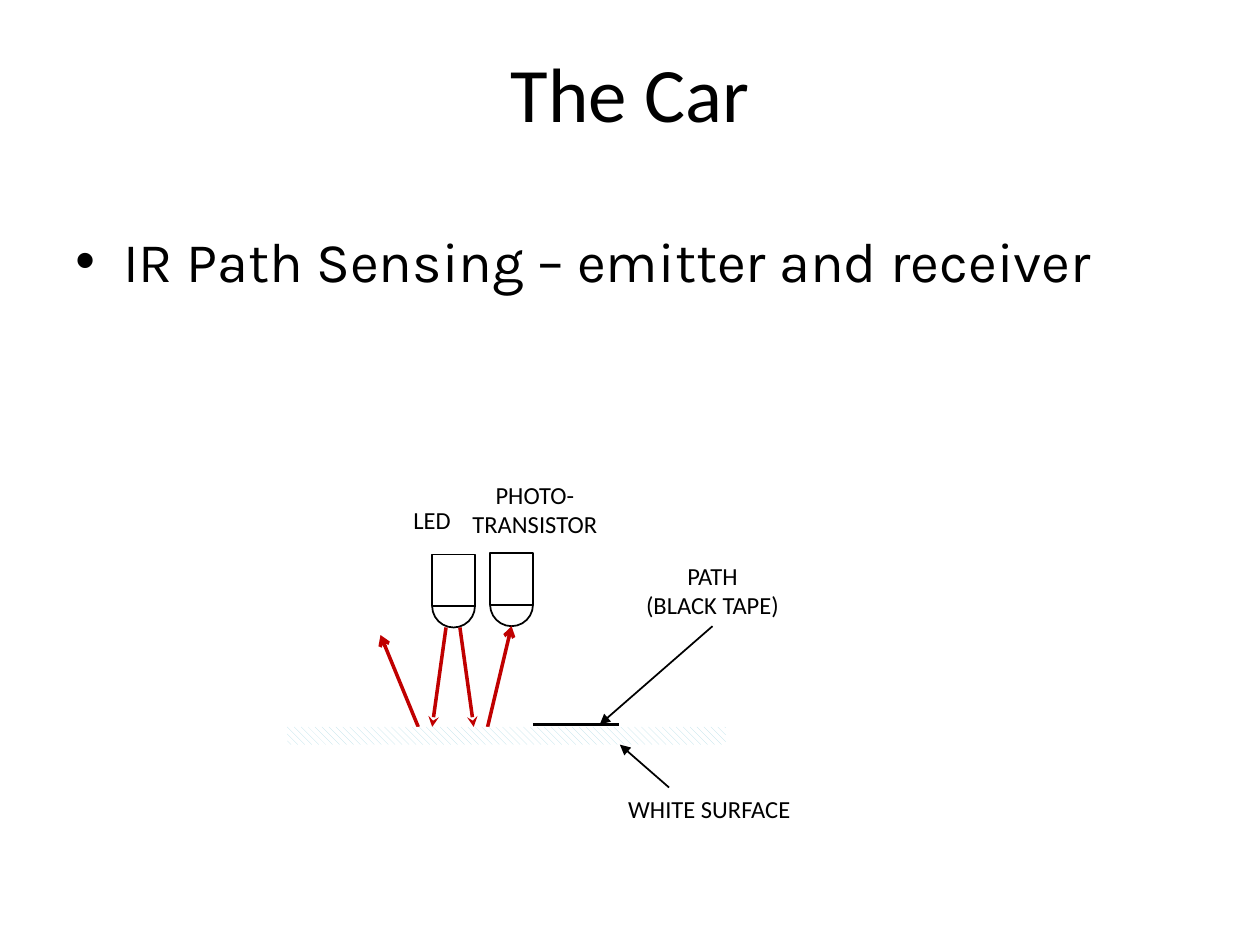
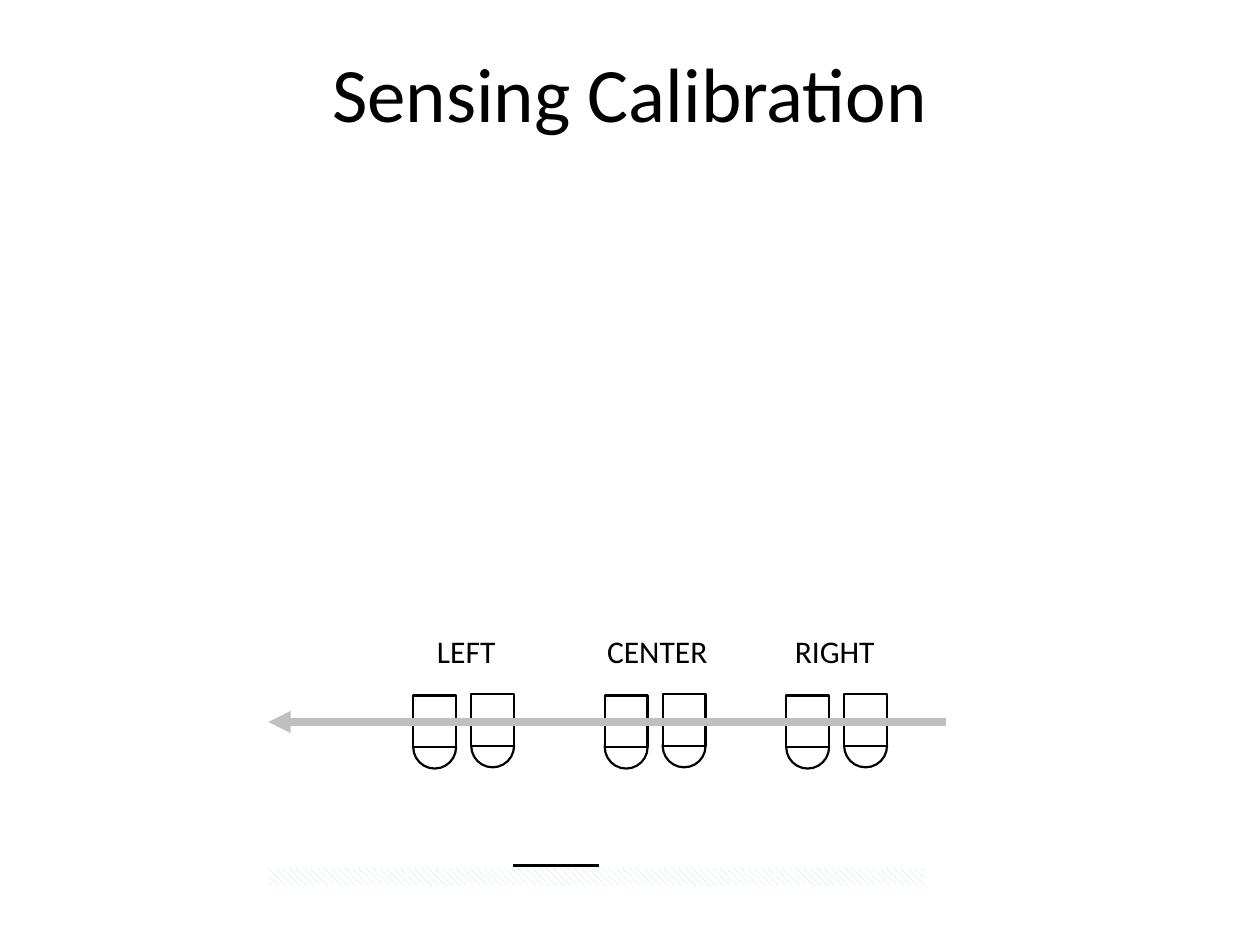
from collections import namedtuple

from lxml import etree
from pptx import Presentation
from pptx.dml.color import RGBColor
from pptx.enum import dml, shapes, text
from pptx.oxml import ns
from pptx.util import Inches, Pt

Theme = namedtuple("Theme", "ink paper beam hatch sweep heading body "
                   "title_size bullet_size label_size position_size")
THEME = Theme(
    ink=RGBColor.from_string("000000"), paper=RGBColor.from_string("FFFFFF"),
    beam=RGBColor.from_string("C00000"), hatch=RGBColor.from_string("B7DEE8"),
    sweep=RGBColor.from_string("BFBFBF"), heading="Calibri", body="Karla",
    title_size=44, bullet_size=32, label_size=14, position_size=18)

TITLE_AREA = (0.5, 0.3, 9, 0.86)
BULLET_AREA = (0.5, 1.75, 9, 0.84)
BULLET_INDENT = 0.38
CAN_WIDTH, CAN_HEIGHT, LENS_DROP, CAN_GAP, CAN_RISE = 0.34, 0.41, 0.24, 0.46, 0.01
SURFACE_HEIGHT, TAPE_LENGTH, TAPE_RISE = 0.14, 0.68, 0.02

CAR = {
    "title": "The Car",
    "bullet": "IR Path Sensing – emitter and receiver",
    "sensor": (3.43, 4.4),
    "surface": (2.28, 5.77, 3.48),
    "tape": 4.23,
    "labels": {
        "led": (["LED"], (3.18, 3.96, 0.5, 0.34)),
        "phototransistor": (["PHOTO-", "TRANSISTOR"], (3.64, 3.76, 1.21, 0.57)),
        "path": (["PATH", "(BLACK TAPE)"], (5.02, 4.4, 1.27, 0.57)),
        "surface": (["WHITE SURFACE"], (4.88, 6.25, 1.5, 0.34)),
    },
    "beams": [
        ((3.54, 4.98), (3.43, 5.77), "stealth"),
        ((3.65, 4.98), (3.76, 5.77), "stealth"),
        ((3.87, 5.77), (4.06, 4.97), "arrow"),
        ((3.32, 5.77), (3.02, 5.04), "arrow"),
    ],
    "path_pointer": ((5.65, 4.97), (4.76, 5.75)),
    "surface_pointer": ((5.31, 6.25), (4.92, 5.91)),
}

CALIBRATION = {
    "title": "Sensing Calibration",
    "sensor_top": 5.52,
    "sensors": [("LEFT", 3.28, 3.37, 0.67), ("CENTER", 4.8, 4.72, 1.0),
                ("RIGHT", 6.24, 6.21, 0.84)],
    "label_top": 4.97,
    "label_height": 0.4,
    "surface": (2.13, 6.89, 5.21),
    "tape": 4.07,
    "sweep": ((7.51, 5.73), (2.13, 5.73)),
}


def inches(values):
    return [Inches(value) for value in values]


def add_text(page, lines, area, size, font=THEME.heading, align=text.PP_ALIGN.CENTER,
             fit=False, bullet=False, anchor=text.MSO_ANCHOR.TOP):
    box = page.shapes.add_textbox(*inches(area))
    frame = box.text_frame
    frame.text = "\n".join(lines)
    frame.word_wrap = not fit
    frame.vertical_anchor = anchor
    if fit:
        frame.auto_size = text.MSO_AUTO_SIZE.SHAPE_TO_FIT_TEXT
    for para in frame.paragraphs:
        para.alignment = align
        if bullet:
            properties = para._p.get_or_add_pPr()
            properties.set("marL", str(Inches(BULLET_INDENT)))
            properties.set("indent", str(-Inches(BULLET_INDENT)))
            etree.SubElement(properties, ns.qn("a:buFont"), typeface="Arial")
            etree.SubElement(properties, ns.qn("a:buChar"), char="•")
        para.font.name = font
        para.font.size = Pt(size)
        para.font.color.rgb = THEME.ink
    return box


def add_title(page, title):
    add_text(page, [title], TITLE_AREA, THEME.title_size, anchor=text.MSO_ANCHOR.MIDDLE)


def add_line(page, start, end, color, width, arrow=None):
    connector = page.shapes.add_connector(
        shapes.MSO_CONNECTOR.STRAIGHT, *inches(start + end))
    connector.line.color.rgb = color
    connector.line.width = Pt(width)
    properties = connector.element.spPr
    if arrow:
        etree.SubElement(properties.find(ns.qn("a:ln")), ns.qn("a:tailEnd"), type=arrow)
    etree.SubElement(properties, ns.qn("a:effectLst"))
    return connector


def add_sensor(collection, left, top, line_width):
    for index in range(2):
        x, y = left + index * CAN_GAP, top - index * CAN_RISE
        for kind, offset, height in (
                (shapes.MSO_SHAPE.OVAL, LENS_DROP, CAN_WIDTH),
                (shapes.MSO_SHAPE.RECTANGLE, 0, CAN_HEIGHT)):
            part = collection.add_shape(kind, *inches((x, y + offset, CAN_WIDTH, height)))
            part.shadow.inherit = False
            part.fill.solid()
            part.fill.fore_color.rgb = THEME.paper
            part.line.color.rgb = THEME.ink
            part.line.width = Pt(line_width)


def add_track(page, surface, tape_left):
    left, top, width = surface
    tape_y = top - TAPE_RISE
    add_line(page, (tape_left, tape_y), (tape_left + TAPE_LENGTH, tape_y), THEME.ink, 1.75)
    floor = page.shapes.add_shape(
        shapes.MSO_SHAPE.RECTANGLE, *inches((left, top, width, SURFACE_HEIGHT)))
    floor.shadow.inherit = False
    floor.fill.patterned()
    floor.fill.pattern = dml.MSO_PATTERN.WIDE_DOWNWARD_DIAGONAL
    floor.fill.fore_color.rgb = THEME.hatch
    floor.fill.back_color.rgb = THEME.paper
    floor.line.fill.background()


def build_car(page):
    add_text(page, [CAR["bullet"]], BULLET_AREA, THEME.bullet_size, THEME.body,
             text.PP_ALIGN.LEFT, bullet=True)
    add_title(page, CAR["title"])
    add_sensor(page.shapes, *CAR["sensor"], 1)
    for start, end, arrow in CAR["beams"]:
        add_line(page, start, end, THEME.beam, 2, arrow)
    add_track(page, CAR["surface"], CAR["tape"])
    labels = {name: add_text(page, lines, area, THEME.label_size, fit=True)
              for name, (lines, area) in CAR["labels"].items()}
    pointer = add_line(page, *CAR["path_pointer"], THEME.ink, 1, "triangle")
    pointer.begin_connect(labels["path"], 2)
    add_line(page, *CAR["surface_pointer"], THEME.ink, 1, "triangle")


def build_calibration(page):
    add_track(page, CALIBRATION["surface"], CALIBRATION["tape"])
    for label, left, label_left, label_width in CALIBRATION["sensors"]:
        group = page.shapes.add_group_shape()
        add_sensor(group.shapes, left, CALIBRATION["sensor_top"], 1.25)
        area = (label_left, CALIBRATION["label_top"], label_width,
                CALIBRATION["label_height"])
        add_text(page, [label], area, THEME.position_size,
                 align=text.PP_ALIGN.LEFT, fit=True)
    add_line(page, *CALIBRATION["sweep"], THEME.sweep, 4.25, "triangle")
    add_title(page, CALIBRATION["title"])


def main():
    deck = Presentation()
    deck.slide_width, deck.slide_height = Inches(10), Inches(7.5)
    for build in (build_car, build_calibration):
        build(deck.slides.add_slide(deck.slide_layouts[6]))
    deck.save("out.pptx")


if __name__ == "__main__":
    main()
